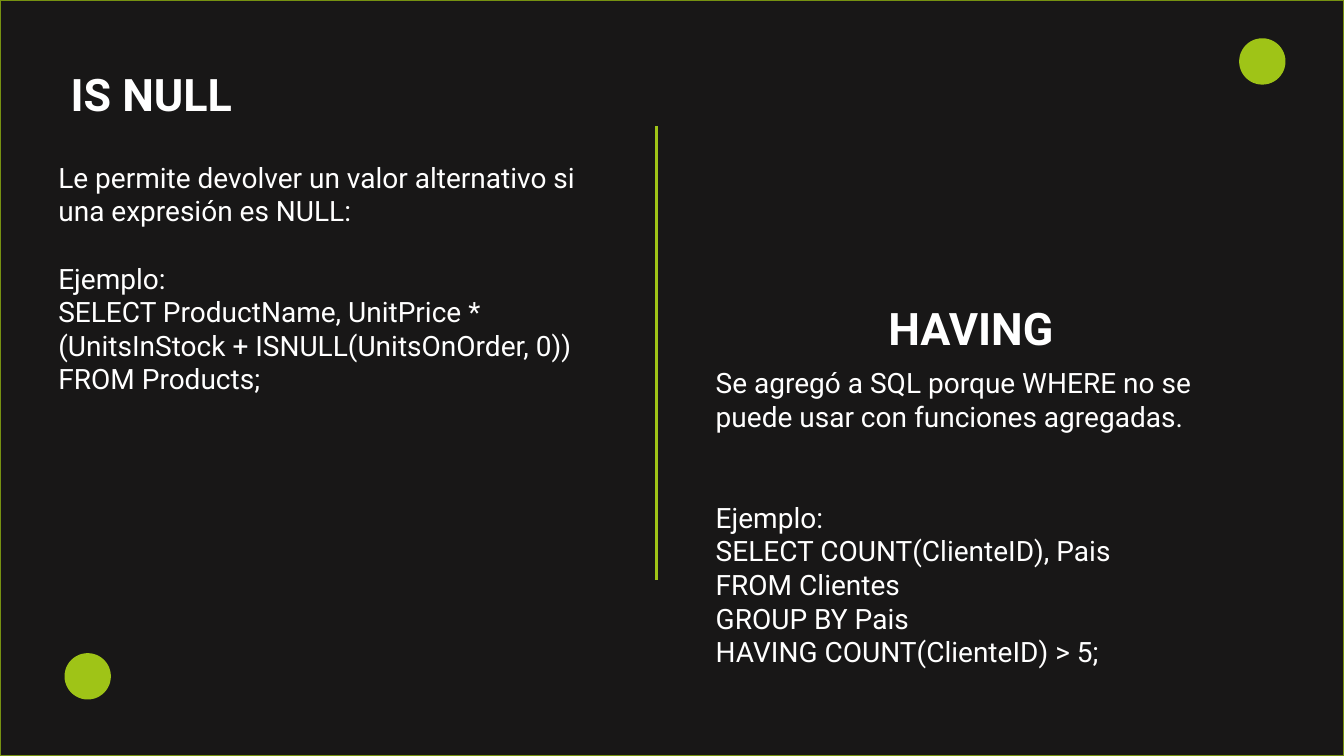
from pptx import Presentation
from pptx.dml.color import RGBColor
from pptx.enum.shapes import MSO_CONNECTOR, MSO_SHAPE
from pptx.enum.text import MSO_ANCHOR, MSO_AUTO_SIZE, PP_ALIGN
from pptx.oxml.ns import qn
from pptx.util import Inches, Pt
from lxml.etree import SubElement

WIDTH, HEIGHT = 13.33, 7.5
FONT = "Roboto"
WHITE, BLACK, LIME, OLIVE = "FFFFFF", "181717", "9FC417", "769111"
LINE_GAP = 24  # points, one line of body text


def color(hex_value):
    return RGBColor.from_string(hex_value)


def place(shape, box):
    shape.left, shape.top, shape.width, shape.height = map(Inches, box)


def write(shape, lines, size, bold=False, align=PP_ALIGN.LEFT):
    frame = shape.text_frame
    frame.word_wrap = True
    frame.auto_size = MSO_AUTO_SIZE.NONE
    frame.vertical_anchor = MSO_ANCHOR.TOP
    frame.text = "\n".join(lines)
    for paragraph in frame.paragraphs:
        paragraph.alignment = align
        for run in paragraph.runs:
            run.font.name = FONT
            run.font.size = Pt(size)
            run.font.bold = bold
            run.font.color.rgb = color(WHITE)
    return frame.paragraphs


def add_backdrop(slide, box):
    backdrop = slide.shapes.add_shape(MSO_SHAPE.RECTANGLE, *map(Inches, box))
    backdrop.shadow.inherit = False
    backdrop.fill.solid()
    backdrop.fill.fore_color.rgb = color(BLACK)
    backdrop.line.color.rgb = color(OLIVE)
    backdrop.line.width = Pt(1)
    # Send behind the title placeholder
    slide.shapes._spTree.insert(2, backdrop._element)


def add_dot(slide, left, top, diameter=0.46):
    dot = slide.shapes.add_shape(
        MSO_SHAPE.OVAL, *map(Inches, (left, top, diameter, diameter)))
    dot.shadow.inherit = False
    dot.fill.solid()
    dot.fill.fore_color.rgb = color(LIME)
    dot.line.fill.background()


def add_divider(slide, x, top, bottom):
    divider = slide.shapes.add_connector(
        MSO_CONNECTOR.STRAIGHT, *map(Inches, (x, top, x, bottom)))
    divider.line.color.rgb = color(LIME)
    divider.line.width = Pt(2.25)
    SubElement(divider._element.spPr, qn("a:effectLst"))


def add_explanation(slide, box, definition, example, gap_lines):
    explanation = slide.shapes.add_textbox(*map(Inches, box))
    paragraphs = write(explanation, [definition, "Ejemplo:", *example], 20)
    paragraphs[1].space_before = Pt(gap_lines * LINE_GAP)


def add_is_null(slide, left, top):
    heading = slide.shapes.title
    place(heading, (left + 0.12, top, 4.55, 0.64))
    write(heading, ["IS NULL"], 32, bold=True)
    add_explanation(
        slide, (left, top + 0.93, 5.58, 2.76),
        "Le permite devolver un valor alternativo si una expresión es NULL:",
        ["SELECT ProductName, UnitPrice * (UnitsInStock + ISNULL(UnitsOnOrder, 0))",
         "FROM Products;"],
        gap_lines=1)


def add_having(slide, left, top):
    heading = slide.shapes.add_textbox(*map(Inches, (left, top, 5.26, 0.59)))
    write(heading, ["HAVING"], 32, bold=True,
          align=PP_ALIGN.CENTER)[0].line_spacing = 0.9
    add_explanation(
        slide, (left, top + 0.59, 5.52, 3.13),
        "Se agregó a SQL porque WHERE no se puede usar con funciones agregadas.",
        ["SELECT COUNT(ClienteID), Pais",
         "FROM Clientes",
         "GROUP BY Pais",
         "HAVING COUNT(ClienteID) > 5;"],
        gap_lines=2)


def main():
    presentation = Presentation()
    presentation.slide_width = Inches(WIDTH)
    presentation.slide_height = Inches(HEIGHT)
    slide = presentation.slides.add_slide(presentation.slide_layouts[5])

    add_backdrop(slide, (0, 0, WIDTH, HEIGHT))
    add_is_null(slide, 0.48, 0.61)
    add_divider(slide, 6.51, 1.25, 5.75)
    add_having(slide, 7, 2.99)

    # Corner dots
    add_dot(slide, 0.64, 6.48)
    add_dot(slide, 12.29, 0.38)

    presentation.save("out.pptx")


if __name__ == "__main__":
    main()
